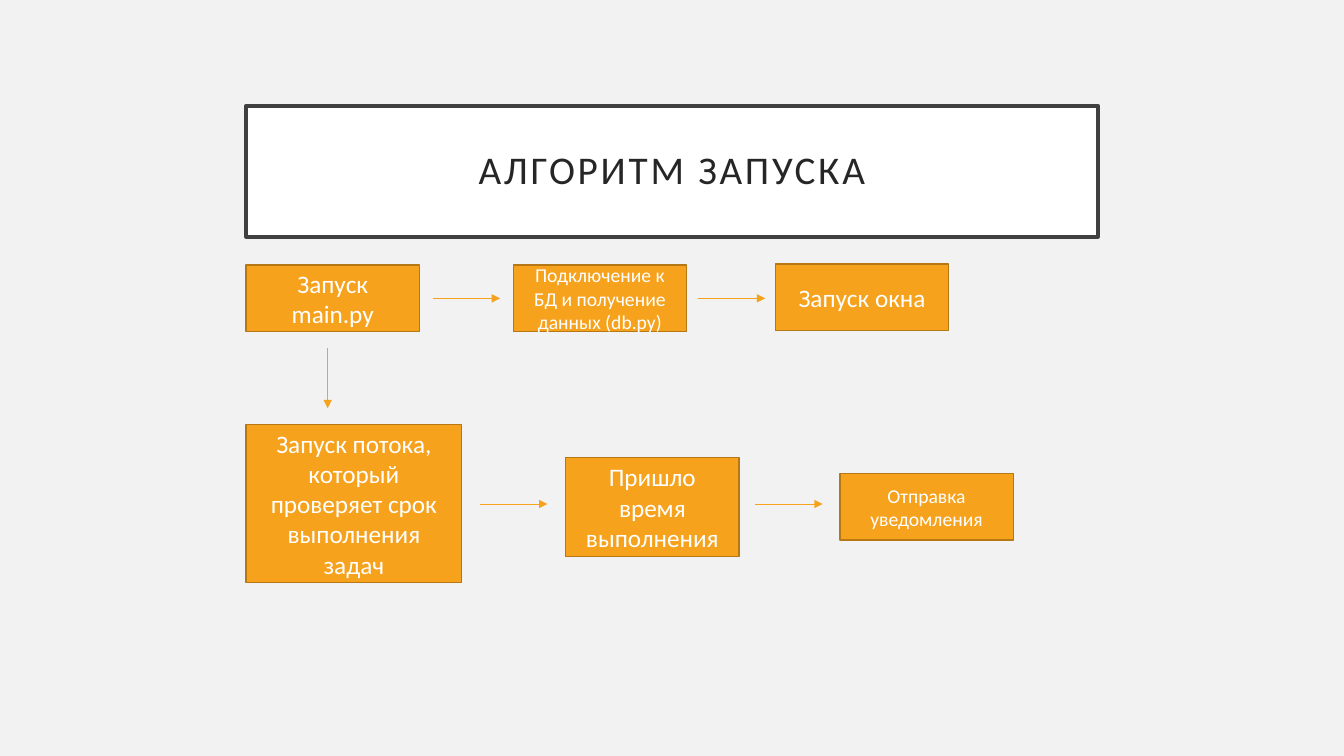
from dataclasses import dataclass

from lxml import etree
from pptx import Presentation
from pptx.dml.color import RGBColor
from pptx.enum.shapes import MSO_CONNECTOR, MSO_SHAPE
from pptx.enum.text import MSO_ANCHOR, MSO_AUTO_SIZE, PP_ALIGN
from pptx.oxml.ns import qn
from pptx.util import Inches, Pt

RECTANGLE = MSO_SHAPE.RECTANGLE
STRAIGHT = MSO_CONNECTOR.STRAIGHT
MIDDLE = MSO_ANCHOR.MIDDLE
NO_AUTOFIT = MSO_AUTO_SIZE.NONE
CENTER = PP_ALIGN.CENTER
TITLE_ONLY = 5


@dataclass(frozen=True)
class Theme:
    font: str = "Calibri"
    background: str = "F2F2F2"
    white: str = "FFFFFF"
    title_text: str = "262626"
    title_border: str = "404040"
    accent: str = "F6A21D"
    accent_border: str = "B67815"
    title_size: int = 28
    step_size: int = 18
    small_size: int = 14
    title_line: float = 2.5
    step_line: float = 1
    arrow_line: float = 0.5


THEME = Theme()
LEFT = 2.44
STEP_WIDTH, STEP_HEIGHT = 1.72, 0.66
ARROW_LENGTH = 0.67

# Steps: left, top, width, height, text, size; arrows: left, top.
# All offsets are relative to the row.
START_ROW = {
    "steps": [
        (0, 0.01, STEP_WIDTH, STEP_HEIGHT, "Запуск main.py", THEME.step_size),
        (2.65, 0.01, STEP_WIDTH, STEP_HEIGHT,
         "Подключение к БД и получение данных (db.py)", THEME.small_size),
        (5.25, 0, STEP_WIDTH, STEP_HEIGHT, "Запуск окна", THEME.step_size),
    ],
    "arrows": [(1.85, 0.34), (4.48, 0.34)],
}
THREAD_ROW = {
    "steps": [
        (0, 0, 2.14, 1.57,
         "Запуск потока, который проверяет срок выполнения задач",
         THEME.step_size),
        (3.17, 0.33, STEP_WIDTH, 0.98, "Пришло время выполнения",
         THEME.step_size),
        (5.89, 0.49, STEP_WIDTH, STEP_HEIGHT, "Отправка уведомления",
         THEME.small_size),
    ],
    "arrows": [(2.32, 0.79), (5.05, 0.79)],
}


def set_attributes(target, values):
    for name, value in values.items():
        setattr(target, name, value)


def color(value):
    return RGBColor.from_string(value)


def style_box(shape, fill, border, border_width):
    shape.fill.solid()
    shape.fill.fore_color.rgb = color(fill)
    shape.line.color.rgb = color(border)
    shape.line.width = Pt(border_width)


def write_text(shape, text, size, text_color):
    frame = shape.text_frame
    set_attributes(frame, {"text": text, "word_wrap": True,
                           "auto_size": NO_AUTOFIT,
                           "vertical_anchor": MIDDLE})
    paragraph = frame.paragraphs[0]
    paragraph.alignment = CENTER
    run = paragraph.runs[0]
    set_attributes(run.font, {"name": THEME.font, "size": Pt(size)})
    run.font.color.rgb = color(text_color)
    return paragraph


def add_title(slide, left, top, width, height):
    title = slide.shapes.title
    set_attributes(title, {"left": Inches(left), "top": Inches(top),
                           "width": Inches(width), "height": Inches(height)})
    style_box(title, THEME.white, THEME.title_border, THEME.title_line)
    paragraph = write_text(title, "АЛГОРИТМ ЗАПУСКА", THEME.title_size,
                           THEME.title_text)
    paragraph.line_spacing = 0.9
    margins = ("margin_left", "margin_top", "margin_right", "margin_bottom")
    set_attributes(title.text_frame, dict.fromkeys(margins, Inches(0.2)))
    # Letter spacing of two points
    paragraph.runs[0].font._element.set("spc", "200")


def add_step(slide, left, top, width, height, text, size):
    step = slide.shapes.add_shape(RECTANGLE, Inches(left), Inches(top),
                                  Inches(width), Inches(height))
    step.shadow.inherit = False
    style_box(step, THEME.accent, THEME.accent_border, THEME.step_line)
    write_text(step, text, size, THEME.white)


def add_arrow(slide, left, top, across=0, down=0):
    arrow = slide.shapes.add_connector(
        STRAIGHT, Inches(left), Inches(top),
        Inches(left + across), Inches(top + down))
    arrow.line.color.rgb = color(THEME.accent)
    arrow.line.width = Pt(THEME.arrow_line)
    # Arrowhead at the end, no shadow
    etree.SubElement(arrow.line._get_or_add_ln(), qn("a:tailEnd"),
                     type="triangle")
    etree.SubElement(arrow._element.spPr, qn("a:effectLst"))


def add_row(slide, left, top, row):
    for step_left, step_top, *details in row["steps"]:
        add_step(slide, left + step_left, top + step_top, *details)
    for arrow_left, arrow_top in row["arrows"]:
        add_arrow(slide, left + arrow_left, top + arrow_top,
                  across=ARROW_LENGTH)


def build_algorithm_slide(presentation):
    slide = presentation.slides.add_slide(
        presentation.slide_layouts[TITLE_ONLY])
    slide.background.fill.solid()
    slide.background.fill.fore_color.rgb = color(THEME.background)
    add_title(slide, LEFT, 1.05, 8.45, 1.3)
    add_row(slide, LEFT, 2.62, START_ROW)
    # Branch from the program start to the checking thread
    add_arrow(slide, 3.25, 3.45, down=0.6)
    add_row(slide, LEFT, 4.21, THREAD_ROW)


presentation = Presentation()
set_attributes(presentation, {"slide_width": Inches(13.33),
                              "slide_height": Inches(7.5)})
build_algorithm_slide(presentation)
presentation.save("out.pptx")
